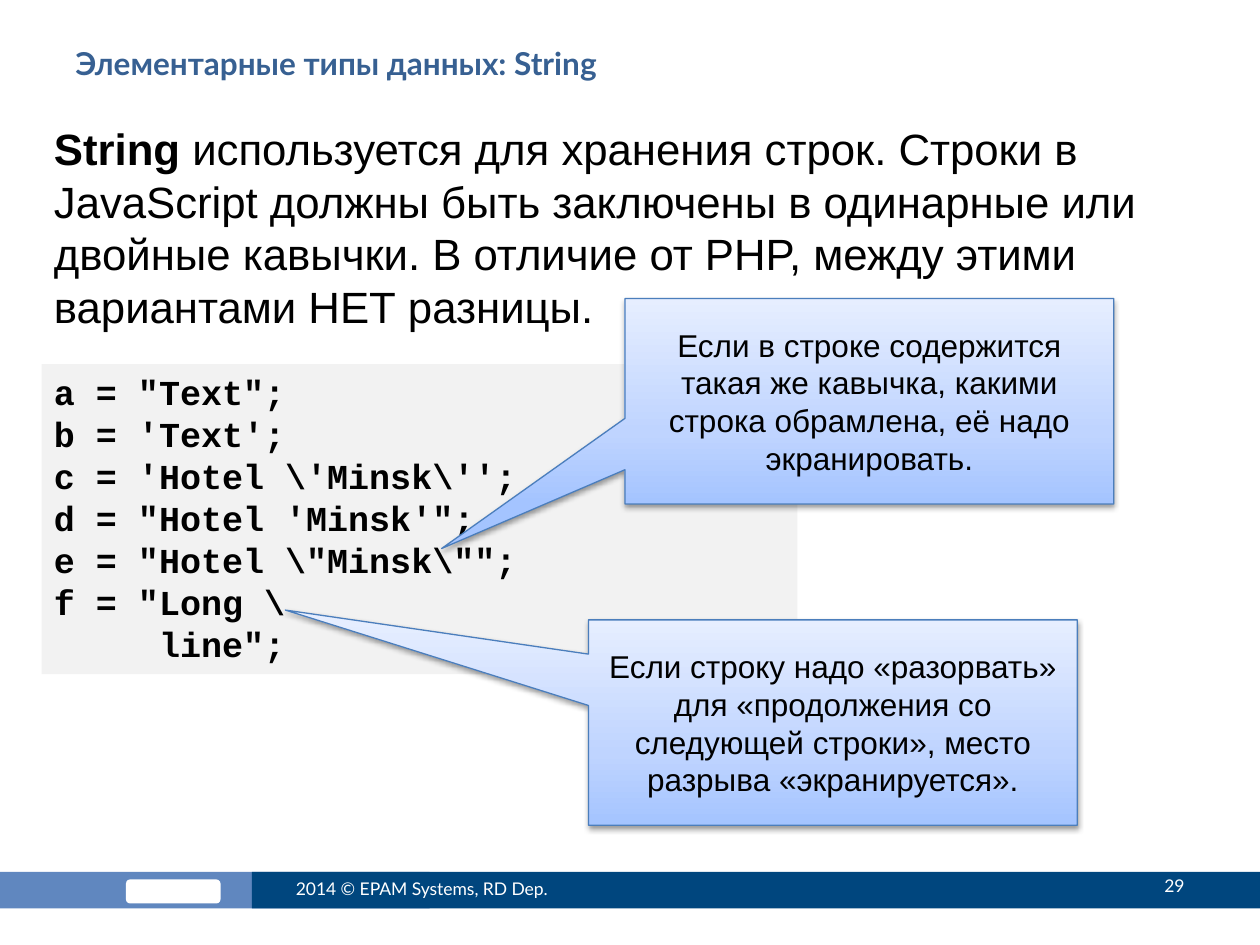
"""Build the slide about the String data type in JavaScript."""
import lxml.etree
import pptx
import pptx.dml.color
import pptx.enum.shapes
import pptx.enum.text
import pptx.oxml
import pptx.util

Inches = pptx.util.Inches
Shapes = pptx.enum.shapes.MSO_SHAPE
Anchor = pptx.enum.text.MSO_ANCHOR
Align = pptx.enum.text.PP_ALIGN
AutoSize = pptx.enum.text.MSO_AUTO_SIZE

LINE_HEIGHT = 1.2
CALLOUT_SIZE = (3.88, 1.63)

TITLE = "Элементарные типы данных: String"
DEFINITION = [
    ("String ", True),
    ("используется для хранения строк. Строки в JavaScript должны быть заключены "
     "в одинарные или двойные кавычки. В отличие от PHP, между этими вариантами "
     "НЕТ разницы.", False),
]
CODE = r'''a = "Text";
b = 'Text';
c = 'Hotel \'Minsk\'';
d = "Hotel 'Minsk'";
e = "Hotel \"Minsk\"";
f = "Long \
     line";'''
CALLOUTS = [
    ((4.96, 2.37), (-0.875, 0.717),
     "Если в строке содержится такая же кавычка, какими строка обрамлена, "
     "её надо экранировать."),
    ((4.67, 4.92), (-1.12, -0.548),
     "Если строку надо «разорвать» для «продолжения со следующей строки», "
     "место разрыва «экранируется»."),
]
FOOTER = [
    ("2014 © EPAM Systems, RD Dep.", (2.25, 6.85, 2.67, 0.4), Align.LEFT),
    ("29", (8.42, 6.83, 1.08, 0.4), Align.RIGHT),
]
BARS = [
    (Shapes.RECTANGLE, (-0.02, 6.92, 3.43, 0.29), "6087BF"),
    (Shapes.ROUNDED_RECTANGLE, (1, 6.98, 0.75, 0.19), "FFFFFF"),
    (Shapes.RECTANGLE, (2, 6.92, 8, 0.29), "00467E"),
]
GRADIENT_STOPS = [(0, "A4C4FF"), (35, "BFD4FF"), (100, "E6EEFF")]
DRAWING = 'xmlns:a="http://schemas.openxmlformats.org/drawingml/2006/main"'


def color(value):
    return pptx.dml.color.RGBColor.from_string(value)


def write(shape, text, size, font="Arial", fill="000000", bold=False,
          align=Align.LEFT, anchor=Anchor.TOP, grow=False):
    frame = shape.text_frame
    frame.word_wrap = True
    frame.vertical_anchor = anchor
    frame.auto_size = AutoSize.SHAPE_TO_FIT_TEXT if grow else AutoSize.NONE
    if isinstance(text, str):
        paragraphs = [[(line, bold)] for line in text.split("\n")]
    else:
        paragraphs = [text]
    for index, runs in enumerate(paragraphs):
        paragraph = frame.add_paragraph() if index else frame.paragraphs[0]
        paragraph.alignment = align
        paragraph.line_spacing = pptx.util.Pt(size * LINE_HEIGHT)
        for content, is_bold in runs:
            run = paragraph.add_run()
            run.text = content
            run.font.name = font
            run.font.size = pptx.util.Pt(size)
            run.font.bold = is_bold
            run.font.color.rgb = color(fill)


def add_text(slide, box, text, size, **style):
    write(slide.shapes.add_textbox(*map(Inches, box)), text, size, **style)


def add_block(slide, kind, box, fill):
    shape = slide.shapes.add_shape(kind, *map(Inches, box))
    shape.shadow.inherit = False
    shape.fill.solid()
    shape.fill.fore_color.rgb = color(fill)
    shape.line.fill.background()
    return shape


def add_callout(slide, position, tip, text):
    shape = add_block(slide, Shapes.RECTANGULAR_CALLOUT, position + CALLOUT_SIZE, "BFD4FF")
    shape.adjustments[0], shape.adjustments[1] = tip
    shape.line.color.rgb = color("4B7EBC")
    shape.line.width = pptx.util.Pt(0.75)
    stops = "".join(
        f'<a:gs pos="{place * 1000}"><a:srgbClr val="{value}"/></a:gs>'
        for place, value in GRADIENT_STOPS)
    gradient = pptx.oxml.parse_xml(
        f'<a:gradFill {DRAWING} rotWithShape="1"><a:gsLst>{stops}</a:gsLst>'
        '<a:lin ang="16200000" scaled="0"/></a:gradFill>')
    shadow = pptx.oxml.parse_xml(
        f'<a:outerShdw {DRAWING} blurRad="40000" dist="20000" dir="5400000" '
        'rotWithShape="0"><a:srgbClr val="000000"><a:alpha val="38000"/>'
        '</a:srgbClr></a:outerShdw>')
    properties = shape.element.spPr
    name = pptx.oxml.ns.qn
    properties.replace(properties.find(name("a:solidFill")), gradient)
    properties.find(name("a:effectLst")).append(shadow)
    write(shape, text, 18, align=Align.CENTER, anchor=Anchor.MIDDLE)


def main():
    presentation = pptx.Presentation()
    presentation.slide_width = Inches(10)
    presentation.slide_height = Inches(7.5)
    slide = presentation.slides.add_slide(presentation.slide_layouts[6])
    for kind, box, fill in BARS:
        add_block(slide, kind, box, fill)
    add_text(slide, (0.5, 0.3, 9, 0.78), TITLE, 18, font="Lato", fill="376092", bold=True)
    for text, box, align in FOOTER:
        add_text(slide, box, text, 10, font="Lato", fill="FFFFFF",
                 align=align, anchor=Anchor.MIDDLE)
    add_text(slide, (0.33, 0.92, 9.25, 1.78), DEFINITION, 25, grow=True)
    code = add_block(slide, Shapes.RECTANGLE, (0.33, 2.89, 6, 2.46), "F2F2F2")
    write(code, CODE, 20, font="Courier New", bold=True, grow=True)
    for position, tip, text in CALLOUTS:
        add_callout(slide, position, tip, text)
    presentation.save("out.pptx")


if __name__ == "__main__":
    main()
